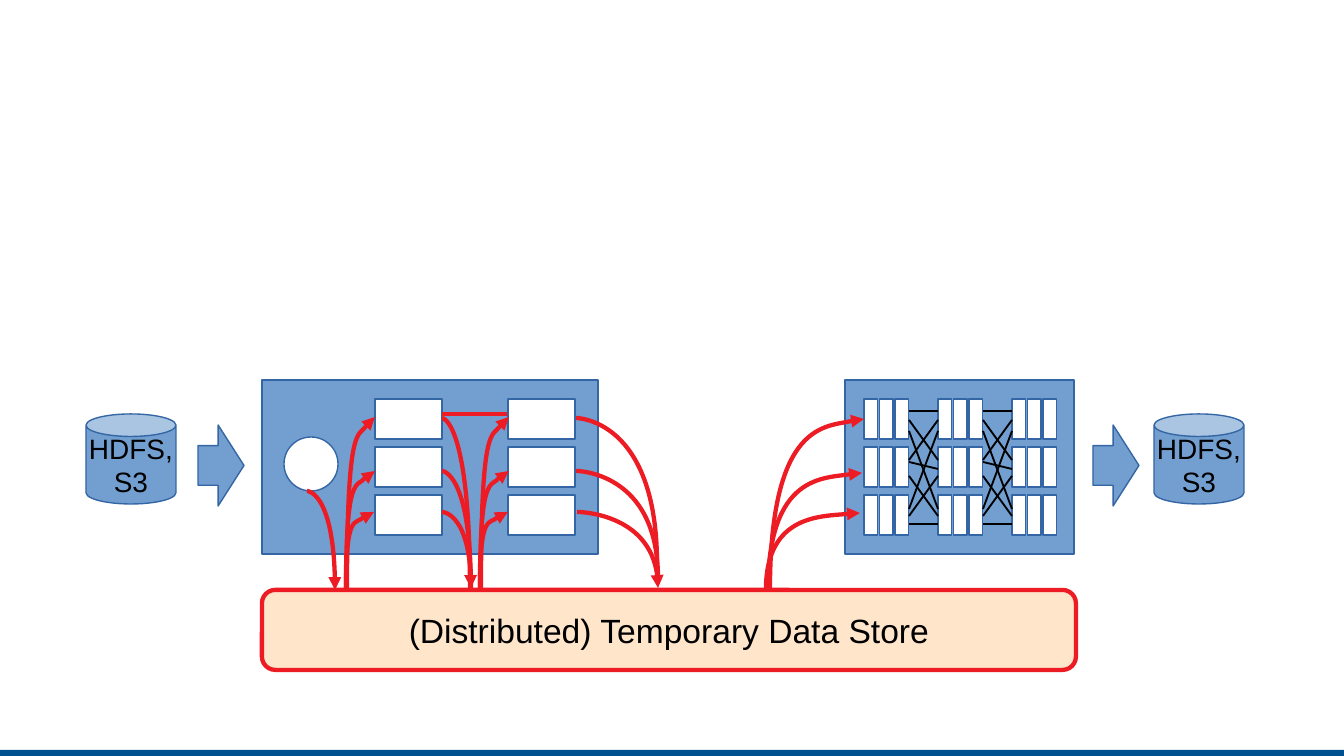
import copy

import pptx
import pptx.dml.color
import pptx.enum.shapes
import pptx.enum.text
import pptx.oxml
import pptx.oxml.ns
import pptx.util

RGB = pptx.dml.color.RGBColor
SHAPE = pptx.enum.shapes.MSO_SHAPE
BLUE = RGB(0x72, 0x9F, 0xCF)
EDGE = RGB(0x34, 0x65, 0xA4)
NAVY = RGB(0x00, 0x50, 0x8F)
RED = RGB(0xED, 0x1C, 0x24)
PEACH = RGB(0xFF, 0xE5, 0xCA)
WHITE = RGB(0xFF, 0xFF, 0xFF)
BLACK = RGB(0x00, 0x00, 0x00)

EMU_PER_PX = 914400 / 134.4
FLOW_WIDTH = 2.3


def px(length):
    return pptx.util.Emu(round(length * EMU_PER_PX))


def element(tag, **attributes):
    node = pptx.oxml.parse_xml(f"<{tag} {pptx.oxml.ns.nsdecls('a')}/>")
    for name, value in attributes.items():
        node.set(name, value)
    return node


class Painter:
    """Holds the diagram style and the current page."""

    font = "Arial"

    def __init__(self, deck):
        self.page = deck.slides.add_slide(deck.slide_layouts[6])

    def shape(self, kind, left, top, width, height, fill=BLUE, line=EDGE,
              weight=0, adjust=()):
        item = self.page.shapes.add_shape(
            kind, px(left), px(top), px(width), px(height))
        item.shadow.inherit = False
        item.fill.solid()
        item.fill.fore_color.rgb = fill
        if line is None:
            item.line.fill.background()
        else:
            item.line.color.rgb = line
            item.line.width = pptx.util.Pt(weight)
        for index, value in enumerate(adjust):
            item.adjustments[index] = value
        return item

    def label(self, item, text, size):
        frame = item.text_frame
        frame.text = text
        frame.word_wrap = False
        frame.vertical_anchor = pptx.enum.text.MSO_ANCHOR.MIDDLE
        for para in frame.paragraphs:
            para.alignment = pptx.enum.text.PP_ALIGN.CENTER
            for span in para.runs:
                span.font.name = self.font
                span.font.size = pptx.util.Pt(size)
                span.font.color.rgb = BLACK

    def line(self, x1, y1, x2, y2, color=BLACK, weight=1):
        link = self.page.shapes.add_connector(
            pptx.enum.shapes.MSO_CONNECTOR.STRAIGHT,
            px(x1), px(y1), px(x2), px(y2))
        link.line.color.rgb = color
        link.line.width = pptx.util.Pt(weight)
        link._element.spPr.append(element("a:effectLst"))

    def flow(self, x1, y1, x2, y2, arrow=None):
        """Curve leaving (x1, y1) vertically and bending level to (x2, y2)."""
        builder = self.page.shapes.build_freeform(x1, y1, scale=EMU_PER_PX)
        builder.add_line_segments([(x2, y2)], close=False)
        curve = builder.convert_to_shape()
        curve.shadow.inherit = False
        curve.fill.background()
        curve.line.color.rgb = RED
        curve.line.width = pptx.util.Pt(FLOW_WIDTH)

        # Turn the straight segment into a Bezier curve
        main = curve._element.spPr
        start = main.find(".//" + pptx.oxml.ns.qn("a:moveTo"))[0]
        segment = main.find(".//" + pptx.oxml.ns.qn("a:lnTo"))
        end = segment[0]
        bend = copy.deepcopy(end)
        bend.set("x", start.get("x"))
        bezier = element("a:cubicBezTo")
        bezier.extend([bend, copy.deepcopy(end), end])
        segment.getparent().replace(segment, bezier)

        if arrow:
            curve.line._get_or_add_ln().append(
                element(f"a:{arrow}", type="triangle"))

    def storage(self, left):
        can = self.shape(SHAPE.CAN, left, 414, 90, 90, adjust=[0.25])
        self.label(can, "HDFS,\nS3", 15)

    def block_arrow(self, left):
        self.shape(SHAPE.RIGHT_ARROW, left, 425, 46, 81, adjust=[0.49, 0.562])

    def column(self, left, width):
        for row in range(3):
            self.shape(SHAPE.RECTANGLE, left, 399 + 48 * row, width, 40, WHITE)


def main():
    deck = pptx.Presentation()
    deck.slide_width, deck.slide_height = px(1344), px(756)
    painter = Painter(deck)

    # Footer bar
    painter.shape(SHAPE.RECTANGLE, 0, 750, 1344, 6, NAVY, None)

    # Left engine: source and two stages
    painter.shape(SHAPE.RECTANGLE, 262, 380, 336, 174)
    painter.shape(SHAPE.OVAL, 284, 437, 54, 54, WHITE)
    for left in (375, 508):
        painter.column(left, 67)

    # Shared store
    store = painter.shape(SHAPE.ROUNDED_RECTANGLE, 262, 590, 814, 80, PEACH,
                          RED, FLOW_WIDTH, [0.167])
    painter.label(store, "(Distributed) Temporary Data Store", 18)

    # Reads from the store into each stage
    for shift in (0, 134):
        for x1, y1, x2, y2 in ((347, 590, 375, 417), (346, 590, 375, 471),
                               (346, 588, 374, 512)):
            painter.flow(x1 + shift, y1, x2 + shift, y2, "tailEnd")

    # Writes from the first stage and the source
    painter.flow(470, 590, 442, 418)
    painter.flow(471, 590, 442, 471)
    painter.flow(471, 588, 442, 512, "headEnd")
    painter.flow(335, 590, 307, 491, "headEnd")

    # Storage at both ends
    for can_left, arrow_left in ((86, 198), (1154, 1093)):
        painter.storage(can_left)
        painter.block_arrow(arrow_left)

    # Right engine: three groups of three narrow columns
    painter.shape(SHAPE.RECTANGLE, 845, 380, 229, 174)
    for group in range(3):
        for index in range(3):
            painter.column(864 + 74 * group + 15.5 * index, 13.5)

    # Shuffle lines between neighbouring groups
    shuffle = ((411, 411), (420, 460), (431, 509), (460, 420), (462, 469),
               (476, 516), (509, 431), (516, 476), (524, 524))
    for left in (909, 983):
        for y1, y2 in shuffle:
            painter.line(left, y1, left + 29, y2)

    # Writes from the second stage
    painter.flow(657, 564, 576, 418)
    painter.flow(658, 578, 576, 471)
    painter.flow(658, 588, 577, 512, "headEnd")

    # Reads into the right engine
    for x1, y1, x2, y2 in ((770, 591, 864, 419), (768, 591, 862, 473),
                           (766, 590, 860, 513)):
        painter.flow(x1, y1, x2, y2, "tailEnd")

    # Direct link between the stages
    painter.line(507, 414, 442, 414, RED, FLOW_WIDTH)

    deck.save("out.pptx")


if __name__ == "__main__":
    main()
